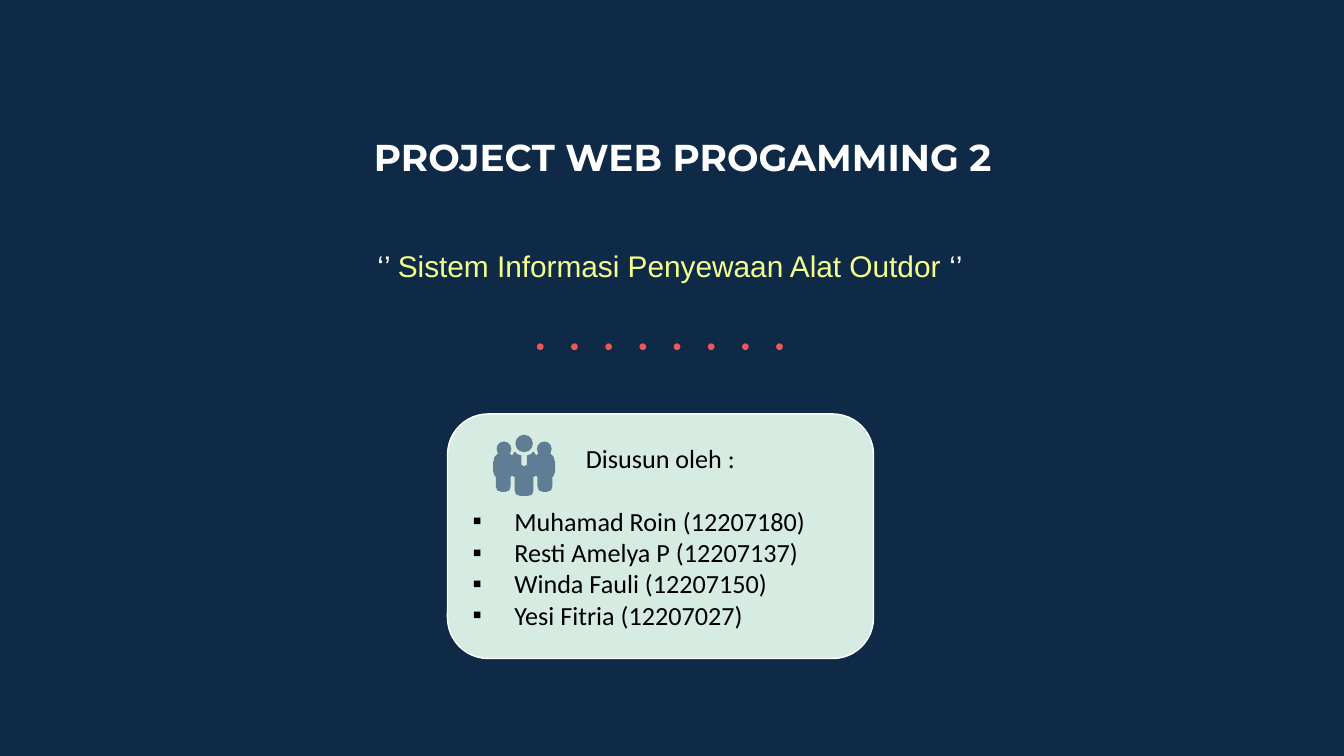
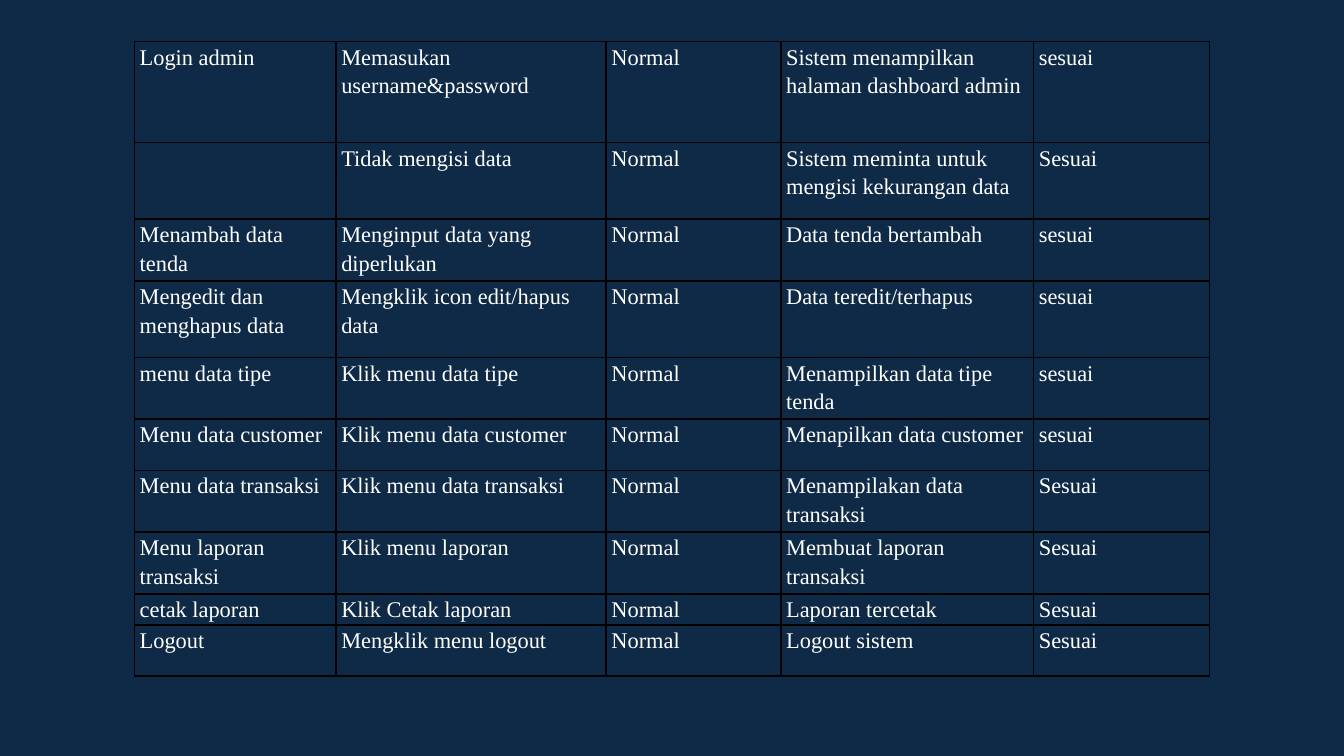
"""Build a two-slide deck: a project cover and a table of system tests."""
from lxml import etree
from pptx import Presentation, util as u
from pptx.dml.color import RGBColor
from pptx.enum import shapes as sh, text as tx
from pptx.oxml import ns

NAVY = RGBColor(0x0E, 0x2A, 0x47)
WHITE = RGBColor(0xFF, 0xFF, 0xFF)
BLACK = RGBColor(0, 0, 0)
LEMON = RGBColor(0xF5, 0xFF, 0x8D)
CORAL = RGBColor(0xEB, 0x58, 0x58)
MINT = RGBColor(0xD6, 0xEB, 0xE1)
STEEL = RGBColor(0x5F, 0x7D, 0x95)

WIDE = 10
HIGH = WIDE * 9 / 16
TITLE = "PROJECT WEB PROGAMMING 2"
TOPIC = [("‘’ ", WHITE), ("Sistem Informasi Penyewaan Alat Outdor ", LEMON), ("‘’", WHITE)]
LEAD = "Disusun oleh :"
TEAM = [
    "Muhamad Roin (12207180)",
    "Resti Amelya P (12207137)",
    "Winda Fauli (12207150)",
    "Yesi Fitria (12207027)",
]
DOTS = 8
AXIS = 3.9
HALF = [
    (0, 3.47), (0.02, 3.46), (0.02, 3.39), (0.05, 3.38), (0.07, 3.36),
    (0.09, 3.39), (0.11, 3.37), (0.19, 3.37), (0.22, 3.4), (0.23, 3.44),
    (0.23, 3.51), (0.22, 3.54), (0.21, 3.55), (0.21, 3.62), (0.2, 3.65),
    (0.17, 3.66), (0.14, 3.66), (0.11, 3.65), (0.1, 3.62), (0.1, 3.55),
    (0.09, 3.54), (0.07, 3.55), (0.07, 3.65), (0.06, 3.68), (0.03, 3.69),
]
HEADS = [(0, 3.3, 0.13), (-0.15, 3.34, 0.11), (0.15, 3.34, 0.11)]

COLS = [1.5, 2.01, 1.3, 1.88, 1.31]
TESTS = [
    (0.75, "Login admin", "Memasukan username&password", "Sistem menampilkan halaman dashboard admin", "sesuai"),
    (0.57, "", "Tidak mengisi data", "Sistem meminta untuk mengisi kekurangan data", "Sesuai"),
    (0.4, "Menambah data tenda", "Menginput data yang diperlukan", "Data tenda bertambah", "sesuai"),
    (0.57, "Mengedit dan menghapus data", "Mengklik icon edit/hapus data", "Data teredit/terhapus", "sesuai"),
    (0.38, "menu data tipe", "Klik menu data tipe", "Menampilkan data tipe tenda", "sesuai"),
    (0.38, "Menu data customer", "Klik menu data customer", "Menapilkan data customer", "sesuai"),
    (0.38, "Menu data transaksi", "Klik menu data transaksi", "Menampilakan data transaksi", "Sesuai"),
    (0.38, "Menu laporan transaksi", "Klik menu laporan", "Membuat laporan transaksi", "Sesuai"),
    (0.19, "cetak laporan", "Klik Cetak laporan", "Laporan tercetak", "Sesuai"),
    (0.38, "Logout", "Mengklik menu logout", "Logout sistem", "Sesuai"),
]
KIND = "Normal"


def box(*nums):
    """Turn inches into lengths."""
    return [u.Inches(n) for n in nums]


def write(para, words, font="Arial", size=12, color=WHITE, bold=False,
          align=tx.PP_ALIGN.LEFT, space=None, after=None):
    """Add one formatted run to a paragraph."""
    run = para.add_run()
    run.text = words
    run.font.name, run.font.size = font, u.Pt(size)
    run.font.bold, run.font.color.rgb = bold, color
    para.alignment = align
    if space:
        para.line_spacing = space
    if after:
        para.space_after = u.Pt(after)


def paint(shape, fill, line=None):
    """Give a shape a flat fill and an optional thin line."""
    shape.shadow.inherit = False
    shape.fill.solid()
    shape.fill.fore_color.rgb = fill
    if line:
        shape.line.color.rgb, shape.line.width = line, u.Pt(0.75)
    else:
        shape.line.fill.background()


def disc(group, x, y, size, fill):
    """Draw a circle around a centre."""
    spot = box(x - size / 2, y - size / 2, size, size)
    paint(group.shapes.add_shape(sh.MSO_SHAPE.OVAL, *spot), fill)


def bullet(para):
    """Set a square bullet with a hanging indent."""
    props = para._p.get_or_add_pPr()
    props.set("marL", str(u.Inches(0.31)))
    props.set("indent", str(-u.Inches(0.31)))
    color = etree.SubElement(props, ns.qn("a:buClr"))
    etree.SubElement(color, ns.qn("a:srgbClr"), val=str(BLACK))
    etree.SubElement(props, ns.qn("a:buFont"), typeface="Arial")
    etree.SubElement(props, ns.qn("a:buChar"), char="▪")


def edge(cell):
    """Draw black borders round a cell."""
    props = cell._tc.get_or_add_tcPr()
    for spot, side in enumerate("LRTB"):
        line = etree.Element(ns.qn("a:ln" + side), w=str(u.Pt(1)))
        fill = etree.SubElement(line, ns.qn("a:solidFill"))
        etree.SubElement(fill, ns.qn("a:srgbClr"), val=str(BLACK))
        props.insert(spot, line)


def icon(slide):
    """Draw three people, mirrored about an axis."""
    group = slide.shapes.add_group_shape()
    for x, y, size in HEADS:
        disc(group, AXIS + x, y, size, STEEL)
    left = [(AXIS - x, y) for x, y in HALF]
    right = [(AXIS + x, y) for x, y in reversed(HALF[1:])]
    points = [box(x, y) for x, y in left + right]
    build = group.shapes.build_freeform(*points[0])
    build.add_line_segments(points[1:], close=True)
    paint(build.convert_to_shape(), STEEL)


def cover(deck):
    """Build the cover slide."""
    slide = deck.slides.add_slide(deck.slide_layouts[5])
    mid = tx.PP_ALIGN.CENTER
    head = slide.shapes.title
    head.left, head.top, head.width, head.height = box(2.42, 0.95, 5.32, 0.44)
    head.text_frame.vertical_anchor = tx.MSO_ANCHOR.TOP
    head.text_frame.auto_size = tx.MSO_AUTO_SIZE.SHAPE_TO_FIT_TEXT
    write(head.text_frame.paragraphs[0], TITLE, font="Montserrat", size=20, bold=True, align=mid)

    dots = slide.shapes.add_group_shape()
    for n in range(DOTS):
        disc(dots, 4.02 + n * 1.78 / (DOTS - 1), 2.58, 0.05, CORAL)

    topic = slide.shapes.add_textbox(*box(2.67, 1.79, 4.63, 0.61)).text_frame
    topic.word_wrap = False
    for words, color in TOPIC:
        write(topic.paragraphs[0], words, size=16, color=color, align=mid)

    card = slide.shapes.add_shape(sh.MSO_SHAPE.ROUNDED_RECTANGLE, *box(3.33, 3.08, 3.17, 1.82))
    paint(card, MINT, WHITE)
    frame = card.text_frame
    frame.word_wrap = True
    frame.vertical_anchor = tx.MSO_ANCHOR.MIDDLE
    frame.margin_left = frame.margin_right = frame.margin_top = frame.margin_bottom = u.Inches(0.1)
    look = dict(font="Calibri", size=14, color=BLACK)
    write(frame.paragraphs[0], LEAD, align=mid, after=17, **look)
    for name in TEAM:
        para = frame.add_paragraph()
        write(para, name, **look)
        bullet(para)
    icon(slide)


def tests(deck):
    """Build the table slide."""
    slide = deck.slides.add_slide(deck.slide_layouts[6])
    high = sum(row[0] for row in TESTS)
    place = box((WIDE - sum(COLS)) / 2, 0.31, sum(COLS), high)
    grid = slide.shapes.add_table(len(TESTS), len(COLS), *place).table
    grid.first_row = grid.horz_banding = False
    for col, wide in zip(grid.columns, COLS):
        col.width = u.Inches(wide)
    for row, (tall, menu, step, result, state) in zip(grid.rows, TESTS):
        row.height = u.Inches(tall)
        for cell, words in zip(row.cells, (menu, step, KIND, result, state)):
            cell.margin_left = cell.margin_right = u.Inches(0.04)
            cell.margin_top = cell.margin_bottom = 0
            cell.fill.background()
            edge(cell)
            if words:
                write(cell.text_frame.paragraphs[0], words, font="Times New Roman", space=1.15)


def main():
    """Build and save the deck."""
    deck = Presentation()
    deck.slide_width, deck.slide_height = box(WIDE, HIGH)
    back = deck.slide_master.background.fill
    back.solid()
    back.fore_color.rgb = NAVY
    cover(deck)
    tests(deck)
    deck.save("out.pptx")


if __name__ == "__main__":
    main()
